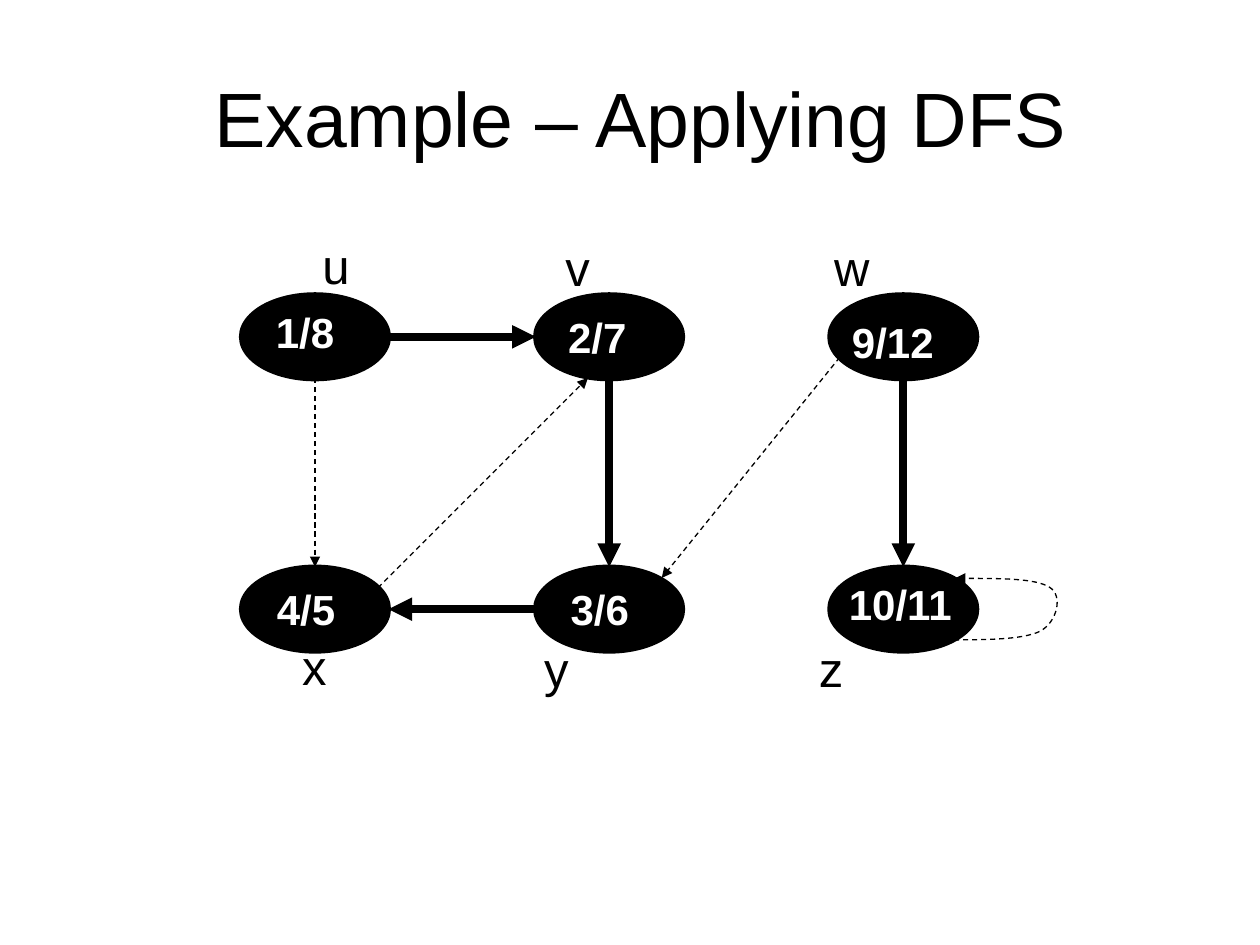
from lxml import etree
from pptx import Presentation
from pptx import util as u
from pptx.dml.color import RGBColor
from pptx.enum import dml, shapes, text
from pptx.oxml.ns import qn

BLACK, WHITE = "000000", "FFFFFF"
NODE_W, NODE_H = 2.96, 1.69
COL_X, ROW_Y = (6.35, 12.28, 18.21), (6.79, 12.28)
THICK, THIN = 4.5, 0.75


def rgb(color):
    return RGBColor.from_string(color)


def add_text(s, value, left, top, width, height, size, color=BLACK, bold=False, wrap=False):
    tf = s.shapes.add_textbox(*map(u.Cm, (left, top, width, height))).text_frame
    tf.word_wrap = wrap
    tf.text = value
    p = tf.paragraphs[0]
    p.alignment = text.PP_ALIGN.CENTER
    font = p.runs[0].font
    font.name, font.size, font.bold = "Arial", u.Pt(size), bold
    font.color.rgb = rgb(color)
    return tf


def add_title(s, value):
    tf = add_text(s, value, 1.27, 0.76, 22.86, 3.18, 44, wrap=True)
    tf.vertical_anchor = text.MSO_ANCHOR.MIDDLE


def add_label(s, value, left, top, width):
    tf = add_text(s, value, left, top, width, 1.45, 28)
    tf.auto_size = text.MSO_AUTO_SIZE.SHAPE_TO_FIT_TEXT


def add_times(s, value, left, top, width):
    tf = add_text(s, value, left, top, width, 1.27, 24, WHITE, True)
    tf.auto_size = text.MSO_AUTO_SIZE.SHAPE_TO_FIT_TEXT


def add_node(s, x, y):
    box = (x - NODE_W / 2, y - NODE_H / 2, NODE_W, NODE_H)
    sp = s.shapes.add_shape(shapes.MSO_SHAPE.OVAL, *map(u.Cm, box))
    sp.shadow.inherit = False
    sp.fill.solid()
    sp.fill.fore_color.rgb = rgb(BLACK)
    sp.line.color.rgb = rgb(BLACK)
    sp.line.width = u.Pt(3)


def style_arrow(sp, width):
    sp.line.color.rgb = rgb(BLACK)
    sp.line.width = u.Pt(width)
    if width == THIN:
        sp.line.dash_style = dml.MSO_LINE.DASH
    ln = sp.line._get_or_add_ln()
    etree.SubElement(ln, qn("a:tailEnd"), type="triangle")


def add_edge(s, start, end, width):
    sp = s.shapes.add_connector(shapes.MSO_CONNECTOR.STRAIGHT, *map(u.Cm, start + end))
    style_arrow(sp, width)
    etree.SubElement(sp._element.spPr, qn("a:effectLst"))


def add_loop(s, points):
    start, *rest = [tuple(map(u.Cm, point)) for point in points]
    builder = s.shapes.build_freeform(*start)
    builder.add_line_segments(rest, close=False)
    sp = builder.convert_to_shape()
    sp.shadow.inherit = False
    sp.fill.background()
    style_arrow(sp, THIN)
    segments = list(sp._element.iter(qn("a:lnTo")))
    path = segments[0].getparent()
    for i in range(0, len(segments), 3):
        curve = etree.SubElement(path, qn("a:cubicBezTo"))
        for segment in segments[i:i + 3]:
            curve.append(segment[0])
            path.remove(segment)


def main():
    prs = Presentation()
    prs.slide_width, prs.slide_height = u.Cm(25.4), u.Cm(19.05)
    s = prs.slides.add_slide(prs.slide_layouts[6])
    add_title(s, " Example – Applying DFS")

    for y in ROW_Y:
        for x in COL_X:
            add_node(s, x, y)

    for value, left, top, width in (
        ("u", 6.25, 4.62, 1.04), ("v", 11.15, 4.67, 0.99), ("w", 16.56, 4.67, 1.22),
        ("x", 5.84, 12.7, 0.99), ("y", 10.72, 12.75, 0.99), ("z", 16.26, 12.75, 0.99),
    ):
        add_label(s, value, left, top, width)

    left_x, mid_x, right_x = COL_X
    top_y, low_y = ROW_Y
    under, over = 7.62, 11.43
    left_edge, mid_edge = left_x + NODE_W / 2, mid_x - NODE_W / 2
    for start, end, width in (
        ((left_x, under), (left_x, over), THIN),
        ((mid_x, under), (mid_x, over), THICK),
        ((right_x, under), (right_x, over), THICK),
        ((left_edge, top_y), (mid_edge, top_y), THICK),
        ((mid_edge, low_y), (left_edge, low_y), THICK),
        ((7.62, 11.85), (11.85, 7.62), THIN),
        ((16.93, 7.2), (13.34, 11.65), THIN),
    ):
        add_edge(s, start, end, width)

    add_loop(s, (
        (19.05, 12.9), (19.84, 12.9), (20.6, 12.9), (20.96, 12.73),
        (21.31, 12.55), (21.44, 12.01), (21.16, 11.84),
        (20.88, 11.66), (20.07, 11.66), (19.25, 11.66),
    ))

    for value, left, top, width in (
        ("1/8", 5.31, 6.05, 1.68), ("2/7", 11.2, 6.15, 1.68), ("9/12", 16.92, 6.25, 2.16),
        ("4/5", 5.33, 11.63, 1.68), ("3/6", 11.25, 11.63, 1.68), ("10/11", 16.84, 11.53, 2.62),
    ):
        add_times(s, value, left, top, width)

    prs.save("out.pptx")


if __name__ == "__main__":
    main()
